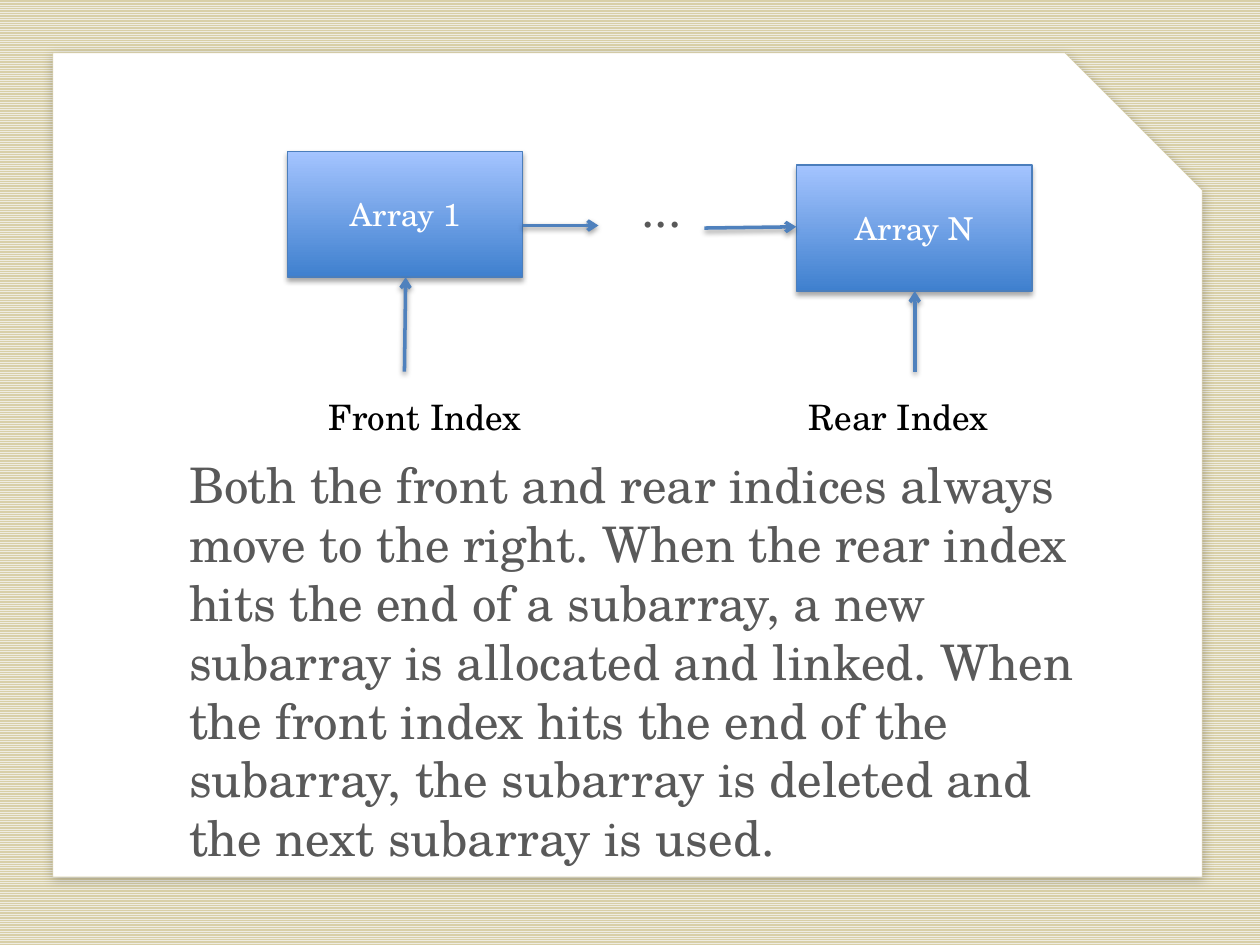
from lxml import etree
from pptx import Presentation
from pptx.dml.color import RGBColor
from pptx.enum import dml, shapes, text
from pptx.oxml.ns import qn
from pptx.util import Inches, Pt

WHITE = RGBColor(0xFF, 0xFF, 0xFF)
BLACK = RGBColor(0, 0, 0)
GREY = RGBColor(0x59, 0x59, 0x59)
CREAM = RGBColor(0xEE, 0xEC, 0xE1)
SAND = RGBColor(0xD8, 0xCF, 0xA7)
DEEP = RGBColor(0x3F, 0x80, 0xCE)
PALE = RGBColor(0xA4, 0xC4, 0xFF)
EDGE = RGBColor(0x4B, 0x7E, 0xBC)
ARROW = RGBColor(0x4F, 0x81, 0xBD)

BODY = (
    "Both the front and rear indices always move to the right. "
    "When the rear index hits the end of a subarray, a new subarray is "
    "allocated and linked. When the front index hits the end of the "
    "subarray, the subarray is deleted and the next subarray is used."
)


def add(parent, tag, **attrs):
    return etree.SubElement(parent, qn(tag), {k: str(v) for k, v in attrs.items()})


def shade(shape, alpha, blur, dist, angle):
    """Give the shape a black outer shadow; call after fill and line are set."""
    props = shape._element.spPr
    for old in props.findall(qn("a:effectLst")):
        props.remove(old)
    shadow = add(add(props, "a:effectLst"), "a:outerShdw", blurRad=Pt(blur),
                 dist=Pt(dist), dir=angle * 60000, algn="ctr", rotWithShape=0)
    add(add(shadow, "a:srgbClr", val=BLACK), "a:alpha", val=alpha * 1000)


class Deck:
    font = "TeX Gyre Schola"

    def __init__(self):
        self.prs = Presentation()
        self.prs.slide_width, self.prs.slide_height = Inches(10), Inches(7.5)
        self.slide = self.prs.slides.add_slide(self.prs.slide_layouts[0])
        title = self.slide.shapes.title._element
        title.getparent().remove(title)

    def style(self, para, size, color):
        for run in para.runs:
            run.font.name, run.font.size = self.font, Pt(size)
            run.font.color.rgb = color

    def shape(self, kind, left, top, width, height, edge, weight):
        item = self.slide.shapes.add_shape(
            kind, Inches(left), Inches(top), Inches(width), Inches(height))
        item.line.color.rgb, item.line.width = edge, Pt(weight)
        return item

    def backdrop(self):
        fill = self.slide.background.fill
        fill.patterned()
        fill.pattern = dml.MSO_PATTERN.NARROW_HORIZONTAL
        fill.fore_color.rgb, fill.back_color.rgb = CREAM, SAND

    def paper(self):
        card = self.shape(shapes.MSO_SHAPE.SNIP_1_RECTANGLE,
                          0.42, 0.42, 9.12, 6.54, SAND, 0.25)
        card.fill.solid()
        card.fill.fore_color.rgb = WHITE
        shade(card, 22, 6, 2, 80)
        # The paper lies behind the placeholder
        self.slide.shapes._spTree.insert(2, card._element)

    def body(self, dots, words):
        holder = self.slide.placeholders[1]
        holder.left, holder.top = Inches(1.5), Inches(0.86)
        holder.width, holder.height = Inches(7.28), Inches(6.1)
        frame = holder.text_frame
        frame.auto_size = text.MSO_AUTO_SIZE.NONE
        frame.vertical_anchor = text.MSO_ANCHOR.TOP
        frame.margin_left = frame.margin_right = frame.margin_bottom = 0
        frame.margin_top = Inches(0.56)
        first, second = frame.paragraphs[0], frame.add_paragraph()
        first.text, second.text = dots, words
        first.alignment = text.PP_ALIGN.CENTER
        second.alignment = text.PP_ALIGN.LEFT
        first._p.get_or_add_pPr().set("marL", str(Inches(0.22)))
        first.space_before = Pt(0)
        second.space_before = Pt(124)
        for para in (first, second):
            self.style(para, 28, GREY)

    def box(self, label, left, top):
        item = self.shape(shapes.MSO_SHAPE.RECTANGLE,
                          left, top, 1.87, 1, EDGE, 0.75)
        item.fill.gradient()
        item.fill.gradient_angle = 90
        for stop, color, place in zip(item.fill.gradient_stops, (DEEP, PALE), (0, 1)):
            stop.color.rgb, stop.position = color, place
        shade(item, 35, 3.1, 1.8, 90)
        frame = item.text_frame
        frame.text = label
        frame.vertical_anchor = text.MSO_ANCHOR.MIDDLE
        frame.paragraphs[0].alignment = text.PP_ALIGN.CENTER
        self.style(frame.paragraphs[0], 18, WHITE)

    def arrow(self, *ends):
        link = self.slide.shapes.add_connector(
            shapes.MSO_CONNECTOR.STRAIGHT, *map(Inches, ends))
        link.line.color.rgb, link.line.width = ARROW, Pt(2)
        add(link.line._get_or_add_ln(), "a:tailEnd", type="arrow")
        shade(link, 38, 3.1, 1.6, 90)

    def label(self, words, left, width):
        item = self.slide.shapes.add_textbox(
            Inches(left), Inches(3.09), Inches(width), Inches(0.44))
        frame = item.text_frame
        frame.word_wrap = True
        frame.text = words
        self.style(frame.paragraphs[0], 20, BLACK)


def main():
    deck = Deck()
    deck.backdrop()
    deck.paper()
    deck.body("...", BODY)
    deck.box("Array 1", 2.28, 1.2)
    deck.box("Array N", 6.32, 1.31)
    deck.arrow(4.15, 1.79, 4.75, 1.79)
    deck.arrow(5.59, 1.81, 6.32, 1.8)
    deck.arrow(3.21, 2.95, 3.22, 2.2)
    deck.arrow(7.26, 2.95, 7.26, 2.31)
    deck.label("Rear Index", 6.32, 2.18)
    deck.label("Front Index", 2.51, 1.81)
    deck.prs.save("out.pptx")


if __name__ == "__main__":
    main()
